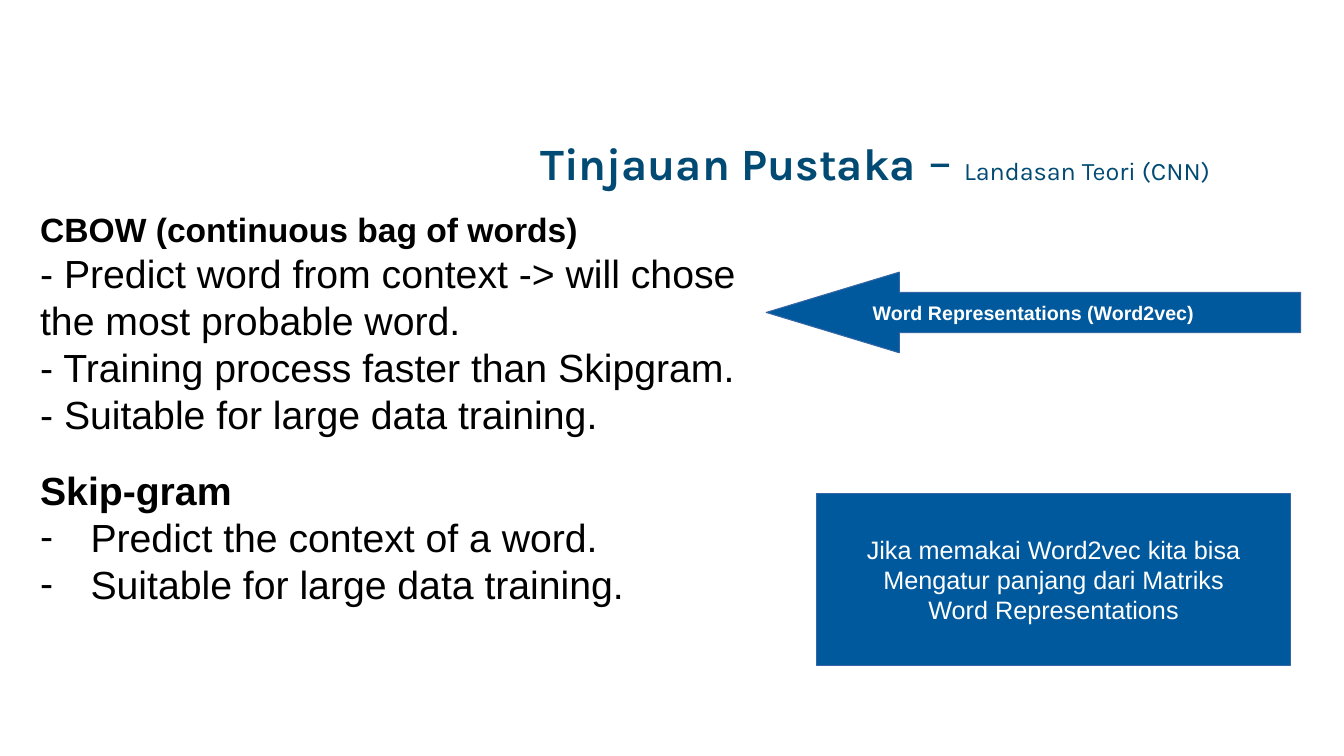
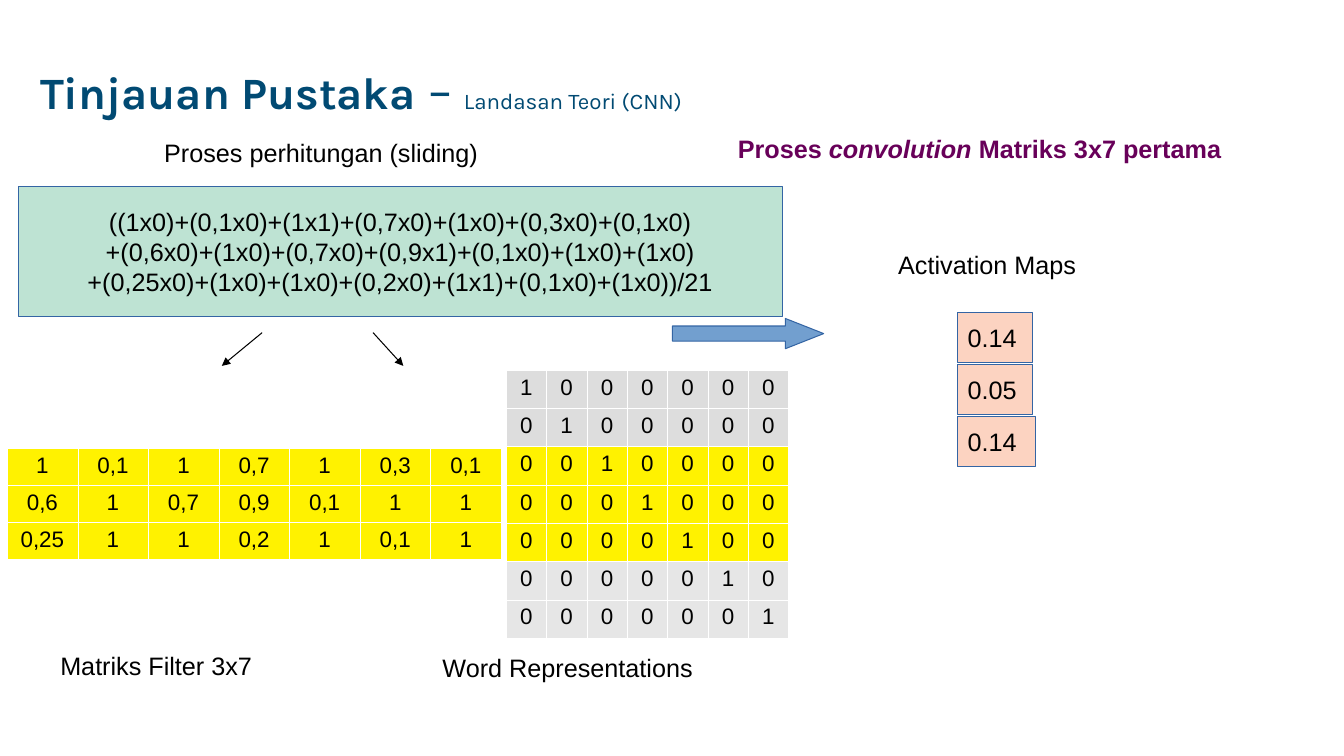
import pptx
import pptx.dml.color
import pptx.enum.shapes
import pptx.enum.text
import pptx.oxml
import pptx.oxml.ns
import pptx.util

RGBColor = pptx.dml.color.RGBColor
PP_ALIGN = pptx.enum.text.PP_ALIGN
MSO_ANCHOR = pptx.enum.text.MSO_ANCHOR
Pt = pptx.util.Pt

BLACK = RGBColor(0x00, 0x00, 0x00)
WHITE = RGBColor(0xFF, 0xFF, 0xFF)
TITLE_BLUE = RGBColor(0x01, 0x4A, 0x73)
DEEP_BLUE = RGBColor(0x00, 0x59, 0x9D)
LIGHT_BLUE = RGBColor(0x72, 0x9F, 0xCF)
OUTLINE = RGBColor(0x34, 0x65, 0xA4)
PURPLE = RGBColor(0x68, 0x00, 0x59)
MINT = RGBColor(0xBE, 0xE3, 0xD3)
PEACH = RGBColor(0xFC, 0xD3, 0xC1)
YELLOW = RGBColor(0xFF, 0xF2, 0x00)
GREY = RGBColor(0xDD, 0xDD, 0xDD)
PALE_GREY = RGBColor(0xE6, 0xE6, 0xE6)

EMU_PER_PX = 9144  # 100 px to the inch


def px(n):
    return pptx.util.Emu(round(n * EMU_PER_PX))


def add_xml(parent, tag, index=None, body="", **attrs):
    """Insert a DrawingML element, by default as the last child."""
    attr_text = "".join(f' {key}="{value}"' for key, value in attrs.items())
    el = pptx.oxml.parse_xml(
        f'<a:{tag} {pptx.oxml.ns.nsdecls("a")}{attr_text}>{body}</a:{tag}>')
    parent.insert(len(parent) if index is None else index, el)


def add_run(p, text, size=18, color=BLACK, bold=False, italic=False, font="Arial"):
    r = p.add_run()
    r.text = text
    r.font.size, r.font.name = Pt(size), font
    r.font.bold, r.font.italic = bold, italic
    r.font.color.rgb = color


class Deck:
    """Shared style and the slide being built."""

    def __init__(self):
        self.prs = pptx.Presentation()
        self.prs.slide_width, self.prs.slide_height = px(1333), px(750)
        self.s = None

    def new_slide(self):
        self.s = self.prs.slides.add_slide(self.prs.slide_layouts[6])

    def text_box(self, x, y, w, h):
        tf = self.s.shapes.add_textbox(px(x), px(y), px(w), px(h)).text_frame
        tf.word_wrap = True
        return tf

    def title(self, x, y, w, sub_size):
        tf = self.text_box(x, y, w, 145)
        tf.vertical_anchor = MSO_ANCHOR.MIDDLE
        p = tf.paragraphs[0]
        p.line_spacing = 0.9
        for text, size, bold in (("Tinjauan Pustaka", 32, True), (" – ", 36, False),
                                 ("Landasan Teori (CNN)", sub_size, False)):
            add_run(p, text, size=size, bold=bold, color=TITLE_BLUE, font="Karla")

    def label(self, x, y, w, text):
        add_run(self.text_box(x, y, w, 38).paragraphs[0], text)

    def fill_shape(self, sp, fill, lines=(), align=PP_ALIGN.CENTER, **fmt):
        sp.shadow.inherit = False
        sp.fill.solid()
        sp.fill.fore_color.rgb = fill
        sp.line.color.rgb = OUTLINE
        sp.line.width = Pt(0.75)
        tf = sp.text_frame
        tf.word_wrap = False
        tf.vertical_anchor = MSO_ANCHOR.MIDDLE
        for i, text in enumerate(lines):
            p = tf.add_paragraph() if i else tf.paragraphs[0]
            p.alignment = align
            add_run(p, text, **fmt)

    def box(self, x, y, w, h, fill, lines, **fmt):
        sp = self.s.shapes.add_shape(
            pptx.enum.shapes.MSO_SHAPE.RECTANGLE, px(x), px(y), px(w), px(h))
        self.fill_shape(sp, fill, lines, **fmt)

    def block_arrow(self, tail, tip, y, h, head, fill, lines=(), **fmt):
        """Horizontal arrow from x = tail to x = tip, shaft half as high as the head."""
        neck = tip - head if tip > tail else tip + head
        top, bottom = y + h / 4, y + h * 3 / 4
        points = [(tail, top), (neck, top), (neck, y), (tip, y + h / 2),
                  (neck, y + h), (neck, bottom), (tail, bottom)]
        points = [(px(a), px(b)) for a, b in points]
        fb = self.s.shapes.build_freeform(*points[0])
        fb.add_line_segments(points[1:], close=True)
        self.fill_shape(fb.convert_to_shape(), fill, lines, **fmt)

    def line_arrow(self, x1, y1, x2, y2):
        cx = self.s.shapes.add_connector(
            pptx.enum.shapes.MSO_CONNECTOR.STRAIGHT, px(x1), px(y1), px(x2), px(y2))
        cx.line.color.rgb = BLACK
        cx.line.width = Pt(0.75)
        add_xml(cx.line._get_or_add_ln(), "tailEnd", type="triangle")
        add_xml(cx._element.spPr, "effectLst")

    def matrix(self, x, y, col_w, row_h, rows, fills):
        n = len(rows[0])
        table = self.s.shapes.add_table(
            len(rows), n, px(x), px(y), px(col_w * n), px(row_h * len(rows))).table
        table.first_row = table.horz_banding = False
        for col in table.columns:
            col.width = px(col_w)
        border = f'<a:solidFill><a:srgbClr val="{WHITE}"/></a:solidFill>'
        for i, (values, fill) in enumerate(zip(rows, fills)):
            table.rows[i].height = px(row_h)
            for j, value in enumerate(values):
                cell = table.cell(i, j)
                cell.fill.solid()
                cell.fill.fore_color.rgb = fill
                p = cell.text_frame.paragraphs[0]
                p.alignment = PP_ALIGN.CENTER
                add_run(p, value, size=16)
                tc_pr = cell._tc.get_or_add_tcPr()
                for k, tag in enumerate(("lnL", "lnR", "lnT", "lnB")):
                    add_xml(tc_pr, tag, k, border, w=762)

    def text_list(self, x, y, w, h, items):
        """Paragraphs of (text, size, bold, dashed, space before)."""
        tf = self.text_box(x, y, w, h)
        for i, (text, size, bold, dashed, before) in enumerate(items):
            p = tf.add_paragraph() if i else tf.paragraphs[0]
            if before:
                p.space_before = Pt(before)
            if dashed:
                p_pr = p._p.get_or_add_pPr()
                p_pr.set("marL", str(px(50)))
                p_pr.set("indent", str(px(-50)))
                add_xml(p_pr, "buFont", typeface="Arial")
                add_xml(p_pr, "buChar", char="-")
            add_run(p, text, size=size, bold=bold)


def word2vec_slide(deck):
    deck.new_slide()
    deck.title(526, 90, 800, sub_size=18)
    deck.block_arrow(1290, 760, 270, 80, 132, DEEP_BLUE,
                     ["Word Representations (Word2vec)"],
                     size=14, bold=True, color=WHITE)
    deck.box(810, 490, 470, 170, DEEP_BLUE,
             ["Jika memakai Word2vec kita bisa", "Mengatur panjang dari Matriks",
              "Word Representations"], color=WHITE)
    deck.text_list(30, 202, 730, 413, [
        ("CBOW (continuous bag of words)", 24, True, False, 0),
        ("- Predict word from context -> will chose the most probable word.",
         28, False, False, 0),
        ("- Training process faster than Skipgram.", 28, False, False, 0),
        ("- Suitable for large data training.", 28, False, False, 0),
        ("Skip-gram", 28, True, False, 21),
        ("Predict the context of a word.", 28, False, True, 0),
        ("Suitable for large data training.", 28, False, True, 0),
    ])


def convolution_slide(deck):
    deck.new_slide()
    deck.title(30, 20, 750, sub_size=16)

    # Word matrix, with the rows under the filter in yellow
    identity = [[str(int(i == j)) for j in range(7)] for i in range(7)]
    deck.matrix(502, 367, 40, 38, identity,
                [GREY] * 2 + [YELLOW] * 3 + [PALE_GREY] * 2)

    # Calculation and its arrows
    deck.box(18, 185, 758, 129, MINT, [
        "((1x0)+(0,1x0)+(1x1)+(0,7x0)+(1x0)+(0,3x0)+(0,1x0)",
        "+(0,6x0)+(1x0)+(0,7x0)+(0,9x1)+(0,1x0)+(1x0)+(1x0)",
        "+(0,25x0)+(1x0)+(1x0)+(0,2x0)+(1x1)+(0,1x0)+(1x0))/21"])
    deck.block_arrow(667, 817, 316, 30, 38, LIGHT_BLUE)
    deck.line_arrow(260, 330, 220, 363)
    deck.line_arrow(370, 330, 400, 363)

    # Labels
    for x, y, w, text in ((50, 640, 250, "Matriks Filter 3x7"),
                          (429, 642, 301, "Word Representations"),
                          (153, 131, 393, "Proses perhitungan (sliding)"),
                          (881, 242, 249, "Activation Maps")):
        deck.label(x, y, w, text)
    p = deck.text_box(722, 127, 601, 66).paragraphs[0]
    for text, italic in (("Proses ", False), ("convolution", True),
                         (" Matriks 3x7 pertama", False)):
        add_run(p, text, bold=True, italic=italic, color=PURPLE)

    # Filter matrix
    weights = ["1 0,1 1 0,7 1 0,3 0,1", "0,6 1 0,7 0,9 0,1 1 1", "0,25 1 1 0,2 1 0,1 1"]
    deck.matrix(7, 445, 70, 35, [row.split() for row in weights], [YELLOW] * 3)

    # Activation map values
    for i, (value, w) in enumerate((("0.14", 74), ("0.05", 74), ("0.14", 77))):
        deck.box(950, 310 + 51.5 * i, w, 50, PEACH, [value], align=PP_ALIGN.LEFT)


def main():
    deck = Deck()
    word2vec_slide(deck)
    convolution_slide(deck)
    deck.prs.save("out.pptx")


if __name__ == "__main__":
    main()
